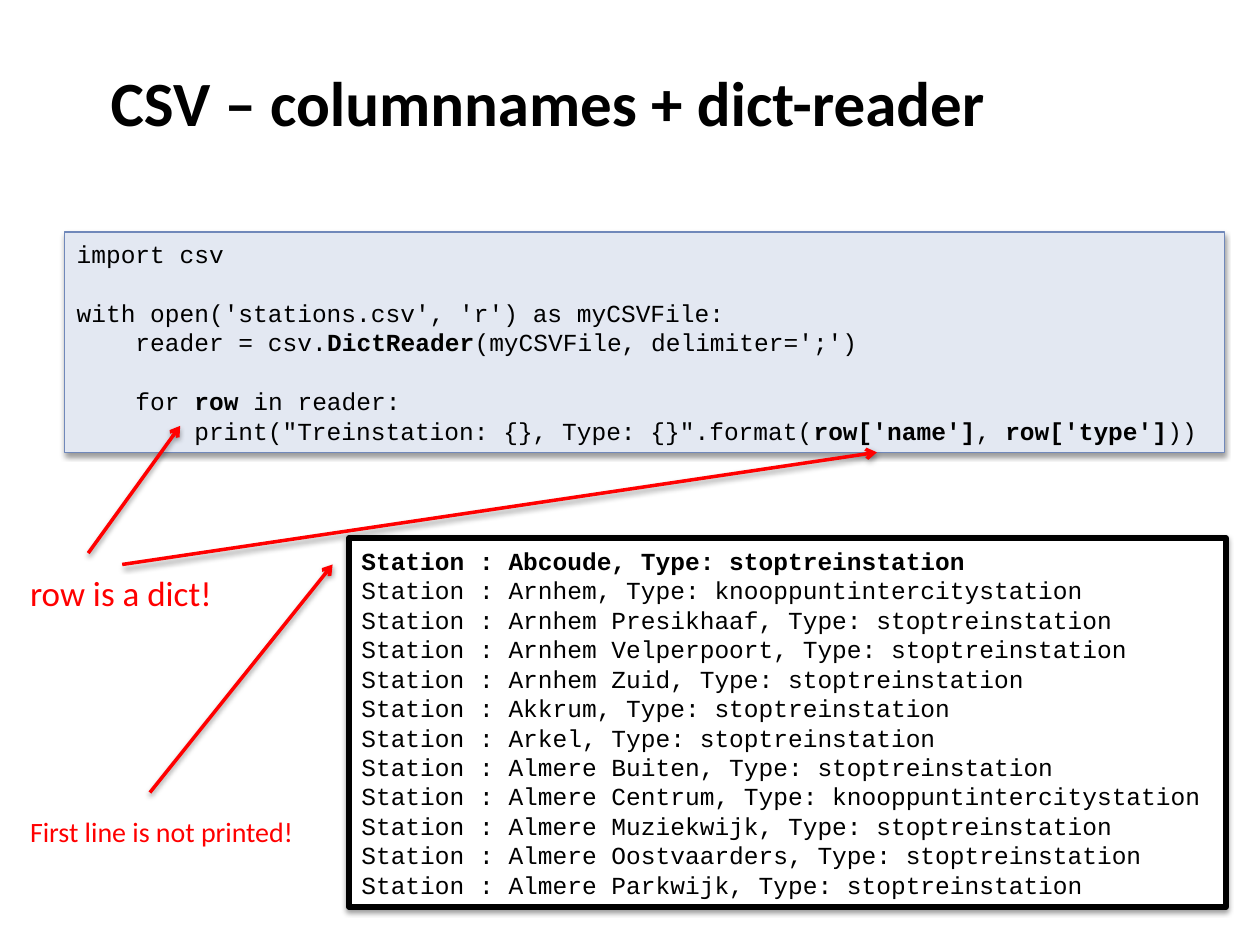
from dataclasses import dataclass

from lxml.etree import SubElement
from pptx import Presentation
from pptx.dml.color import RGBColor
from pptx.enum.shapes import MSO_CONNECTOR, MSO_SHAPE
from pptx.enum.text import MSO_ANCHOR, PP_ALIGN
from pptx.oxml.ns import qn
from pptx.util import Inches, Pt

CODE_FONT = "Courier New"
TEXT_FONT = "Calibri"
CODE_SIZE = 14
BLANK_LINE = 16.8
INDENT_STEP = 0.467
BLACK = "000000"
RED = "FF0000"


@dataclass(frozen=True)
class Span:
    text: str
    bold: bool = False


@dataclass(frozen=True)
class Line:
    spans: tuple[Span, ...]
    level: int = 0
    gap_before: bool = False


@dataclass(frozen=True)
class Panel:
    place: tuple[float, float, float, float]
    fill: str
    outline: str
    outline_width: float
    lines: tuple[Line, ...]


@dataclass(frozen=True)
class Label:
    place: tuple[float, float, float, float]
    text: str
    size: int
    color: str
    bold: bool = False


@dataclass(frozen=True)
class Arrow:
    start: tuple[float, float]
    end: tuple[float, float]


CODE = (
    Line((Span("import csv"),)),
    Line((Span("with open('stations.csv', 'r') as myCSVFile:"),), gap_before=True),
    Line((Span("reader = csv."), Span("DictReader", True),
          Span("(myCSVFile, delimiter=';')")), 1),
    Line((Span("for "), Span("row", True), Span(" in reader:")), 1, True),
    Line((Span('print("Treinstation: {}, Type: {}".format('),
          Span("row['name']", True), Span(", "),
          Span("row['type']", True), Span("))")), 2),
)

STOP = "stoptreinstation"
HUB = "knooppuntintercitystation"
STATIONS = (
    ("Abcoude", STOP),
    ("Arnhem", HUB),
    ("Arnhem Presikhaaf", STOP),
    ("Arnhem Velperpoort", STOP),
    ("Arnhem Zuid", STOP),
    ("Akkrum", STOP),
    ("Arkel", STOP),
    ("Almere Buiten", STOP),
    ("Almere Centrum", HUB),
    ("Almere Muziekwijk", STOP),
    ("Almere Oostvaarders", STOP),
    ("Almere Parkwijk", STOP),
)
OUTPUT = tuple(
    Line((Span(f"Station : {name}, Type: {kind}", index == 0),))
    for index, (name, kind) in enumerate(STATIONS)
)

PANELS = (
    Panel((0.51, 1.84, 9.21, 1.75), "E3E8F2", "7088BA", 0.75, CODE),
    Panel((2.77, 4.27, 6.96, 2.93), "FFFFFF", BLACK, 3, OUTPUT),
)
LABELS = (
    Label((0.78, 0, 7.6, 1.61), "CSV – columnnames + dict-reader", 36, BLACK, True),
    Label((0.14, 4.48, 1.66, 0.44), "row is a dict!", 20, RED),
    Label((0.14, 6.41, 2.5, 0.37), "First line is not printed!", 16, RED),
)
ARROWS = (
    Arrow((0.7, 4.39), (1.43, 3.38)),
    Arrow((1.19, 6.29), (2.64, 4.48)),
    Arrow((0.97, 4.48), (6.96, 3.59)),
)


def rgb(color: str) -> RGBColor:
    return RGBColor.from_string(color)


def add_shadow(properties) -> None:
    effects = properties.find(qn("a:effectLst"))
    if effects is None:
        effects = SubElement(properties, qn("a:effectLst"))
    shadow = SubElement(
        effects, qn("a:outerShdw"), blurRad=str(Pt(3.1)), dist=str(Pt(1.6)),
        dir="5400000", rotWithShape="0",
    )
    tint = SubElement(shadow, qn("a:srgbClr"), val=BLACK)
    SubElement(tint, qn("a:alpha"), val="38000")


def add_span(para, span: Span, font: str, size: int, color: str) -> None:
    run = para.add_run()
    run.text = span.text
    run.font.name = font
    run.font.size = Pt(size)
    run.font.bold = span.bold
    run.font.color.rgb = rgb(color)


def add_panel(page, panel: Panel) -> None:
    box = page.shapes.add_shape(MSO_SHAPE.RECTANGLE, *map(Inches, panel.place))
    box.fill.solid()
    box.fill.fore_color.rgb = rgb(panel.fill)
    box.line.color.rgb = rgb(panel.outline)
    box.line.width = Pt(panel.outline_width)
    box.shadow.inherit = False
    add_shadow(box._element.spPr)
    frame = box.text_frame
    frame.word_wrap = True
    frame.vertical_anchor = MSO_ANCHOR.MIDDLE
    for index, line in enumerate(panel.lines):
        para = frame.add_paragraph() if index else frame.paragraphs[0]
        para.alignment = PP_ALIGN.LEFT
        if line.gap_before:
            para.space_before = Pt(BLANK_LINE)
        if line.level:
            margin = Inches(line.level * INDENT_STEP)
            para._p.get_or_add_pPr().set("marL", str(margin))
        for span in line.spans:
            add_span(para, span, CODE_FONT, CODE_SIZE, BLACK)


def add_label(page, label: Label) -> None:
    box = page.shapes.add_textbox(*map(Inches, label.place))
    frame = box.text_frame
    frame.word_wrap = True
    frame.vertical_anchor = MSO_ANCHOR.MIDDLE
    span = Span(label.text, label.bold)
    add_span(frame.paragraphs[0], span, TEXT_FONT, label.size, label.color)


def add_arrow(page, arrow: Arrow) -> None:
    connector = page.shapes.add_connector(
        MSO_CONNECTOR.STRAIGHT, *map(Inches, arrow.start + arrow.end)
    )
    connector.line.color.rgb = rgb(RED)
    connector.line.width = Pt(2)
    SubElement(connector.line._get_or_add_ln(), qn("a:tailEnd"), type="arrow")
    add_shadow(connector._element.spPr)


def main() -> None:
    deck = Presentation()
    deck.slide_width = Inches(10)
    deck.slide_height = Inches(7.5)
    page = deck.slides.add_slide(deck.slide_layouts[6])
    for panel in PANELS:
        add_panel(page, panel)
    for label in LABELS:
        add_label(page, label)
    for arrow in ARROWS:
        add_arrow(page, arrow)
    deck.save("out.pptx")


if __name__ == "__main__":
    main()
